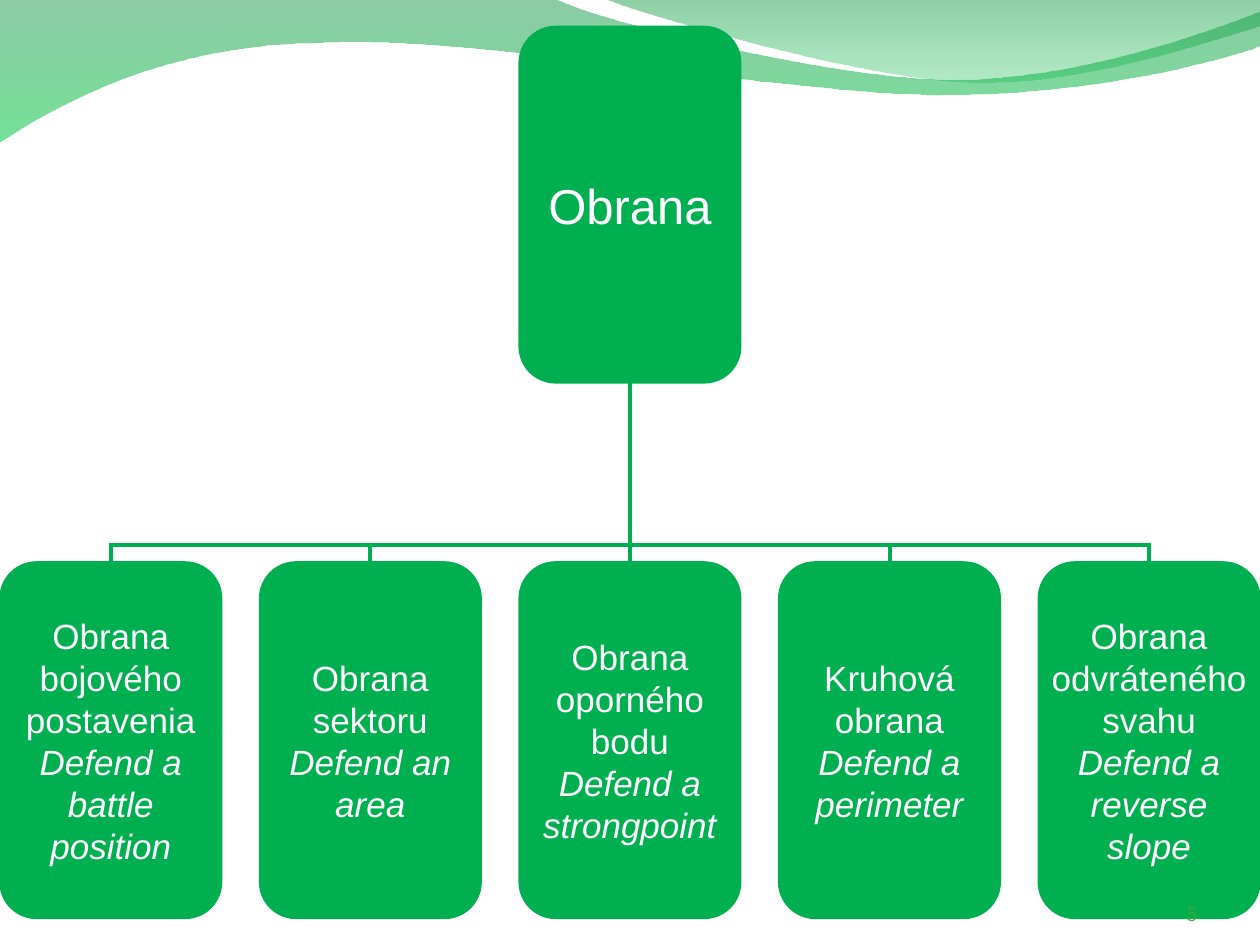
from dataclasses import dataclass

from lxml.etree import SubElement
from pptx import Presentation
from pptx.dml.color import RGBColor
from pptx.enum.shapes import MSO_CONNECTOR, MSO_SHAPE
from pptx.enum.text import MSO_ANCHOR, PP_ALIGN
from pptx.oxml.ns import qn
from pptx.util import Inches, Pt

COLORS = {
    "box": "00B050",
    "text": "FFFFFF",
    "number": "50A035",
    "wave_top": "008D37",
    "wave_bottom": "00CB43",
    "crest_top": "009436",
    "crest_bottom": "00B942",
}
SLIDE_W, SLIDE_H = 10, 7.5
BOX_W, BOX_H = 1.76, 2.83
CORNER = 0.29
ROOT_TOP, CHILD_TOP = 0.21, 4.46


@dataclass
class Stop:
    color: str
    alpha: int


@dataclass
class Wave:
    start: tuple[float, float]
    segments: list[tuple[float, ...]]
    stops: list[Stop]


@dataclass
class Defence:
    name: str
    english: str


WAVES = [
    Wave(
        (0, -0.01),
        [
            (4.4, -0.01),
            (4.76, 0.17, 6.64, 0.63, 7.58, 0.63),
            (8.53, 0.63, 9.58, 0.26, 10, 0.09),
            (10.01, 0.36),
            (9.83, 0.44, 8.7, 0.76, 7.46, 0.75),
            (6.22, 0.75, 3.82, 0.28, 2.57, 0.34),
            (1.29, 0.35, 0.46, 0.83, -0.01, 1.13),
        ],
        [Stop("wave_top", 45), Stop("wave_bottom", 55)],
    ),
    Wave(
        (4.79, -0.01),
        [
            (5.09, 0.11, 6.82, 0.62, 7.69, 0.65),
            (8.56, 0.69, 9.61, 0.32, 10, 0.21),
            (10, 0),
        ],
        [Stop("crest_top", 45), Stop("crest_bottom", 30)],
    ),
]

DEFENCES = [
    Defence("Obrana bojového postavenia", "Defend a battle position"),
    Defence("Obrana sektoru", "Defend an area"),
    Defence("Obrana oporného bodu", "Defend a strongpoint"),
    Defence("Kruhová obrana", "Defend a perimeter"),
    Defence("Obrana odvráteného svahu", "Defend a reverse slope"),
]


def rgb(name: str) -> RGBColor:
    return RGBColor.from_string(COLORS[name])


def bend(sp, segments: list[tuple[float, ...]]) -> None:
    lines = list(sp.element.spPr.iter(qn("a:lnTo")))
    for line, seg in zip(lines, segments):
        if len(seg) == 2:
            continue
        line.tag = qn("a:cubicBezTo")
        for i, (x, y) in enumerate((seg[0:2], seg[2:4])):
            pt = SubElement(line, qn("a:pt"), x=str(Inches(x) - sp.left),
                            y=str(Inches(y) - sp.top))
            line.insert(i, pt)


def draw_wave(s, master, wave: Wave) -> None:
    builder = s.shapes.build_freeform(*map(Inches, wave.start))
    ends = [(Inches(seg[-2]), Inches(seg[-1])) for seg in wave.segments]
    builder.add_line_segments(ends, close=True)
    sp = builder.convert_to_shape()
    bend(sp, wave.segments)
    sp.shadow.inherit = False
    sp.line.fill.background()
    sp.fill.gradient()
    sp.fill.gradient_angle = 270
    for target, stop in zip(sp.fill.gradient_stops, wave.stops):
        target.color.rgb = rgb(stop.color)
    for color, stop in zip(sp.element.spPr.iter(qn("a:srgbClr")), wave.stops):
        SubElement(color, qn("a:alpha"), val=str(stop.alpha * 1000))
    master.shapes.element.append(sp.element)


def draw_branch(shapes, child_x: float, root_x: float) -> None:
    length = CHILD_TOP - ROOT_TOP - BOX_H
    span = abs(child_x - root_x)
    left = (child_x + root_x - length) / 2
    middle = CHILD_TOP - length / 2
    begin_x, end_x = left, left + length
    turn = 270
    if child_x < root_x:
        begin_x, end_x = end_x, begin_x
        turn = 90
    line = shapes.add_connector(
        MSO_CONNECTOR.ELBOW,
        Inches(begin_x), Inches(middle + span / 2),
        Inches(end_x), Inches(middle - span / 2),
    )
    line.line.color.rgb = rgb("box")
    line.line.width = Pt(2.25)
    spPr = line.element.spPr if hasattr(line, "element") else line._element.spPr
    xfrm = spPr.find(qn("a:xfrm"))
    xfrm.set("rot", str(turn * 60000))
    if span == 0:
        xfrm.set("flipV", "1")
    guides = spPr.find(qn("a:prstGeom")).find(qn("a:avLst"))
    SubElement(guides, qn("a:gd"), name="adj1", fmla="val 9300")
    SubElement(spPr.find(qn("a:ln")), qn("a:miter"), lim="800000")
    SubElement(spPr, qn("a:effectLst"))


def add_text(p, text: str, size: int, color: str, font: str = "Arial",
             italic: bool = False, align=PP_ALIGN.CENTER) -> None:
    p.alignment = align
    r = p.add_run()
    r.text = text
    r.font.size = Pt(size)
    r.font.name = font
    r.font.italic = italic
    r.font.color.rgb = rgb(color)


def set_frame(tf, anchor, wrap: bool = True) -> None:
    tf.margin_left = tf.margin_right = tf.margin_top = tf.margin_bottom = 0
    tf.vertical_anchor = anchor
    tf.word_wrap = wrap


def draw_box(shapes, center: float, top: float, wrap: bool = True):
    sp = shapes.add_shape(
        MSO_SHAPE.ROUNDED_RECTANGLE,
        Inches(center - BOX_W / 2), Inches(top), Inches(BOX_W), Inches(BOX_H),
    )
    sp.adjustments[0] = CORNER / BOX_W
    sp.shadow.inherit = False
    sp.fill.solid()
    sp.fill.fore_color.rgb = rgb("box")
    sp.line.color.rgb = rgb("box")
    sp.line.width = Pt(0.75)
    set_frame(sp.text_frame, MSO_ANCHOR.MIDDLE, wrap)
    return sp.text_frame


def main() -> None:
    prs = Presentation()
    prs.slide_width, prs.slide_height = Inches(SLIDE_W), Inches(SLIDE_H)
    s = prs.slides.add_slide(prs.slide_layouts[6])

    for wave in WAVES:
        draw_wave(s, prs.slide_master, wave)

    root_x = SLIDE_W / 2
    pitch = (SLIDE_W - BOX_W) / (len(DEFENCES) - 1)
    centers = [BOX_W / 2 + i * pitch for i in range(len(DEFENCES))]
    for center in reversed(centers):
        draw_branch(s.shapes, center, root_x)

    tf = draw_box(s.shapes, root_x, ROOT_TOP, wrap=False)
    add_text(tf.paragraphs[0], "Obrana", 28, "text")
    for center, defence in zip(centers, DEFENCES):
        tf = draw_box(s.shapes, center, CHILD_TOP)
        add_text(tf.paragraphs[0], defence.name, 20, "text")
        add_text(tf.add_paragraph(), defence.english, 20, "text", italic=True)

    number = s.shapes.add_textbox(Inches(8.67), Inches(6.95), Inches(0.83), Inches(0.4))
    set_frame(number.text_frame, MSO_ANCHOR.BOTTOM)
    add_text(number.text_frame.paragraphs[0], "5", 12, "number", "Cambria",
             align=PP_ALIGN.RIGHT)

    prs.save("out.pptx")


if __name__ == "__main__":
    main()
